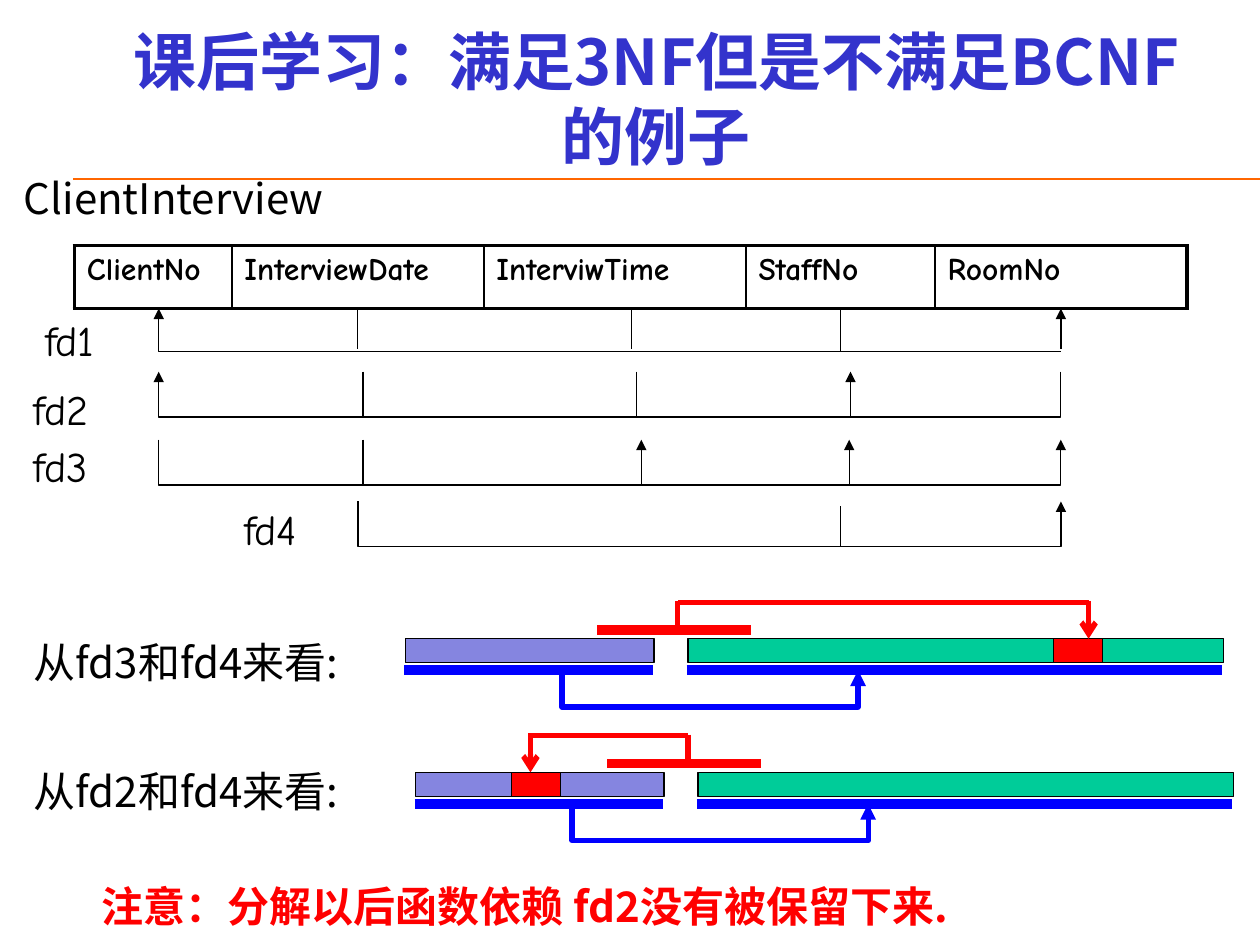
"""Build a slide on a relation in 3NF but not BCNF, with its dependencies and decompositions."""
from lxml.etree import SubElement
from pptx import Presentation
from pptx.dml.color import RGBColor as RGB
from pptx.enum.shapes import MSO_CONNECTOR as CONN, MSO_SHAPE as SHAPE
from pptx.enum.text import MSO_ANCHOR as ANCHOR, PP_ALIGN as ALIGN
from pptx.oxml.ns import qn
from pptx.util import Inches, Pt

CJK, COMIC = "Noto Sans CJK SC", "Comic Neue"
THEME = {
    "black": "000000", "rule": "FF6600", "red": "FF0000", "blue": "0000FF",
    "violet": "8585E0", "green": "00CC99", "white": "FFFFFF",
    "thin": 0.75, "arrow": 3, "bar": 5.5, "inner": 1, "outer": 2.25,
    "title": ("3333CC", {"size": Pt(36), "bold": True, "name": CJK}),
    "body": ("000000", {"size": Pt(24), "bold": False, "name": CJK}),
    "label": ("000000", {"size": Pt(24), "bold": False, "name": COMIC}),
    "cell": ("000000", {"size": Pt(18), "bold": True, "name": COMIC}),
    "note": ("FF0000", {"size": Pt(24), "bold": True, "name": CJK}),
}

prs = Presentation()
prs.slide_width, prs.slide_height = Inches(10), Inches(7.5)
COL, ROW = prs.slide_width / 100, prs.slide_height / 75
s = prs.slides.add_slide(prs.slide_layouts[6])


def write(tf, text, style, **fmt):
    colour, font = THEME[style]
    tf.word_wrap = True
    p = tf.paragraphs[0]
    for key, value in fmt.items():
        setattr(p, key, value)
    r = p.add_run()
    r.text = text
    r.font.color.rgb = RGB.from_string(colour)
    for key, value in font.items():
        setattr(r.font, key, value)
    SubElement(r._r.rPr, qn("a:ea"), typeface=font["name"])


def draw(shapes, points, colour="black", width="thin", arrow=None):
    pts = [(round(x * COL), round(y * ROW)) for x, y in points]
    if len(pts) == 2:
        sp = shapes.add_connector(CONN.STRAIGHT, *pts[0], *pts[1])
    else:
        path = shapes.build_freeform(*pts[0])
        path.add_line_segments(pts[1:], close=False)
        sp = path.convert_to_shape()
        sp.fill.background()
    sp.line.color.rgb = RGB.from_string(THEME[colour])
    sp.line.width = Pt(THEME[width])
    if arrow:
        SubElement(sp.line._get_or_add_ln(), qn("a:tailEnd"), type=arrow)
    SubElement(sp._element.spPr, qn("a:effectLst"))


draw(s.shapes, [(5.8, 14.2), (100, 14.2)], "rule")

texts = [
    ("课后学习：满足3NF但是不满足BCNF的例子", "title", 9.6, 1.5, 85, 12.5, {"alignment": ALIGN.CENTER}),
    ("ClientInterview", "body", 0.9, 12, 97.5, 6.7, {"line_spacing": 1.3}),
    ("从fd3和fd4来看:", "body", 1.7, 50, 29.6, 5, {}),
    ("从fd2和fd4来看:", "body", 1.7, 60.3, 29.6, 5, {}),
    ("注意：分解以后函数依赖 fd2没有被保留下来.", "note", 7.1, 69.4, 90, 5, {}),
]
labels = [("fd1", 2.6, 24.9), ("fd2", 1.7, 30.4), ("fd3", 1.7, 34.9), ("fd4", 18.4, 39.9)]
texts += [(name, "label", x, y, 7.7, 4.6, {"line_spacing": 0.9}) for name, x, y in labels]
for text, style, x, y, w, h, fmt in texts:
    tf = s.shapes.add_textbox(*map(round, (x * COL, y * ROW, w * COL, h * ROW))).text_frame
    tf.vertical_anchor = ANCHOR.MIDDLE if style == "title" else ANCHOR.TOP
    write(tf, text, style, **fmt)

fields = {"ClientNo": 12.5, "InterviewDate": 20, "InterviwTime": 20.8, "StaffNo": 15, "RoomNo": 20}
box = (5.9 * COL, 19.5 * ROW, sum(fields.values()) * COL, 5 * ROW)
table = s.shapes.add_table(1, len(fields), *map(round, box)).table
table.rows[0].height = round(5 * ROW)
for i, (field, width) in enumerate(fields.items()):
    table.columns[i].width = round(width * COL)
    cell = table.cell(0, i)
    write(cell.text_frame, field, "cell")
    tcPr = cell._tc.get_or_add_tcPr()
    edges = {"L": i == 0, "R": i == len(fields) - 1, "T": True, "B": True}
    for side, outer in edges.items():
        width = Pt(THEME["outer" if outer else "inner"])
        ln = SubElement(tcPr, qn(f"a:ln{side}"), w=str(width))
        SubElement(SubElement(ln, qn("a:solidFill")), qn("a:srgbClr"), val=THEME["black"])
    cell.fill.solid()
    cell.fill.fore_color.rgb = RGB.from_string(THEME["white"])

brackets = [
    (66.7, 12.6, 24.5, 27.9), (84.2, 12.6, 29.5, 33.1),
    (12.6, 84.2, 34.9, 38.5), (28.4, 84.2, 39.8, 43.4),
]
for start, end, top, base in brackets:
    draw(s.shapes, [(start, top), (start, base), (end, base), (end, top)], arrow="triangle")

determinants = [
    (28.4, 24.5, 27.7), (50.1, 24.5, 27.7), (28.8, 29.5, 33.1),
    (50.5, 29.5, 33.1), (28.8, 34.9, 38.5), (66.7, 40.2, 43.3),
]
for x, top, base in determinants:
    draw(s.shapes, [(x, top), (x, base)])

dependents = [(84.2, 24.5, 27.7), (67.5, 29.5, 33.1), (50.9, 34.9, 38.5), (67.4, 34.9, 38.5)]
for x, top, base in dependents:
    draw(s.shapes, [(x, base), (x, top)], arrow="triangle")
draw(s.shapes, [(66.7, 27.9), (84.2, 27.9)])

decompositions = [(32.2, 50.7, 83.6, 86.4, 86.4), (33, 61.3, 40.6, 42.1, 41.9)]
for x, y, shared, target, corner in decompositions:
    shapes = s.shapes.add_group_shape().shapes
    for left, width, colour in [(x, 19.7, "violet"), (x + 22.4, 42.5, "green"), (shared, 3.9, "red")]:
        sp = shapes.add_shape(SHAPE.RECTANGLE, *map(round, (left * COL, y * ROW, width * COL, 1.9 * ROW)))
        sp.shadow.inherit = False
        sp.fill.solid()
        sp.fill.fore_color.rgb = RGB.from_string(THEME[colour])
        sp.line.color.rgb = RGB.from_string(THEME["black"])
        sp.line.width = Pt(THEME["thin"])
    key, join, stem = y + 2.5, y + 5.4, x + 21.6
    for left, width in [(x - 0.1, 19.7), (x + 22.3, 42.5)]:
        draw(shapes, [(left, key), (left + width, key)], "blue", "bar")
    link = [(x + 12.4, key), (x + 12.4, join), (x + 35.9, join), (x + 35.9, key)]
    draw(shapes, link, "blue", "arrow", "triangle")
    draw(shapes, [(x + 15.2, y - 0.7), (x + 27.4, y - 0.7)], "red", "bar")
    draw(shapes, [(target, y - 3), (target, y)], "red", "arrow", "arrow")
    draw(shapes, [(stem, y - 2.9), (corner, y - 2.9)], "red", "arrow")
    draw(shapes, [(stem, y - 3), (stem, y - 1)], "red", "arrow")

prs.save("out.pptx")
